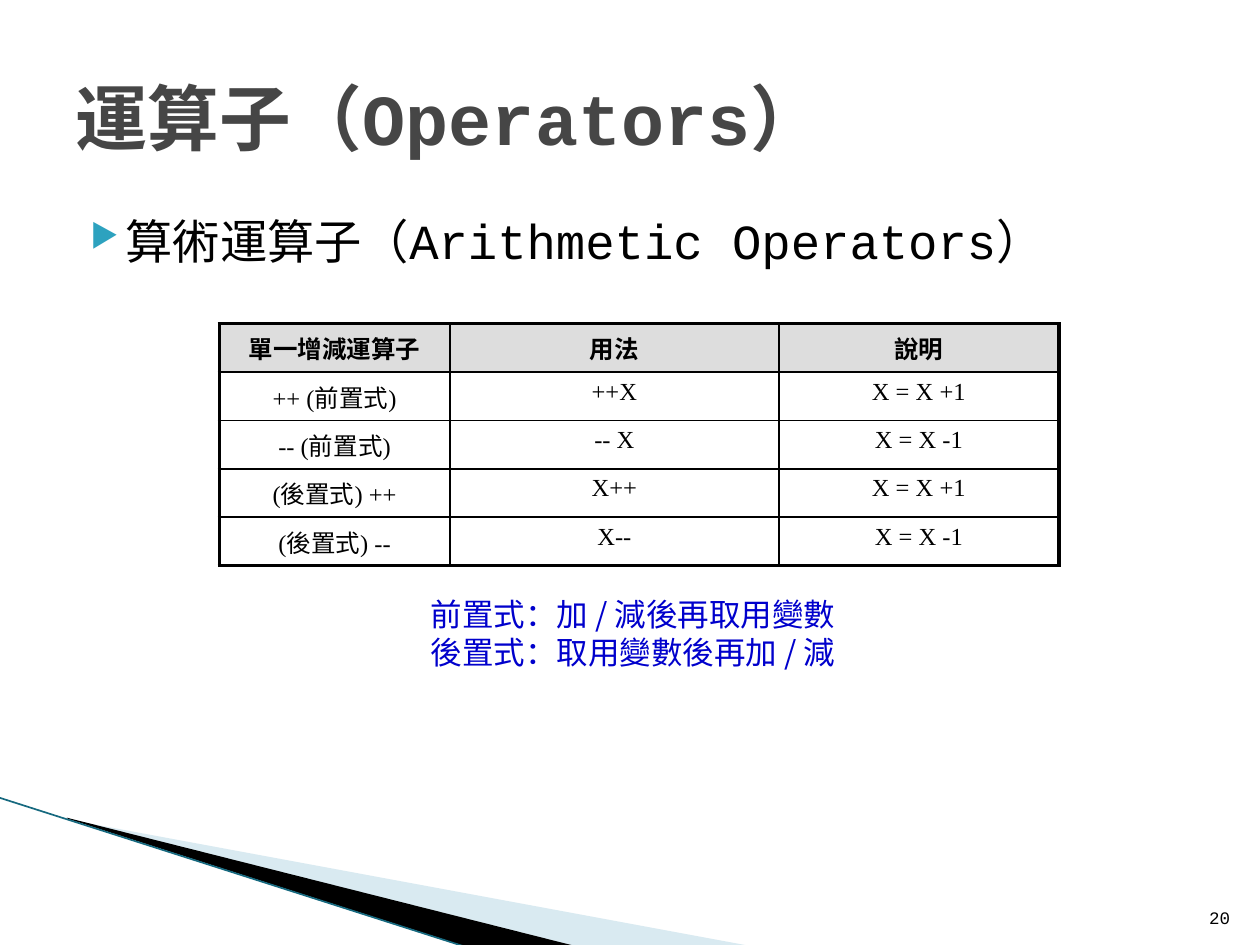
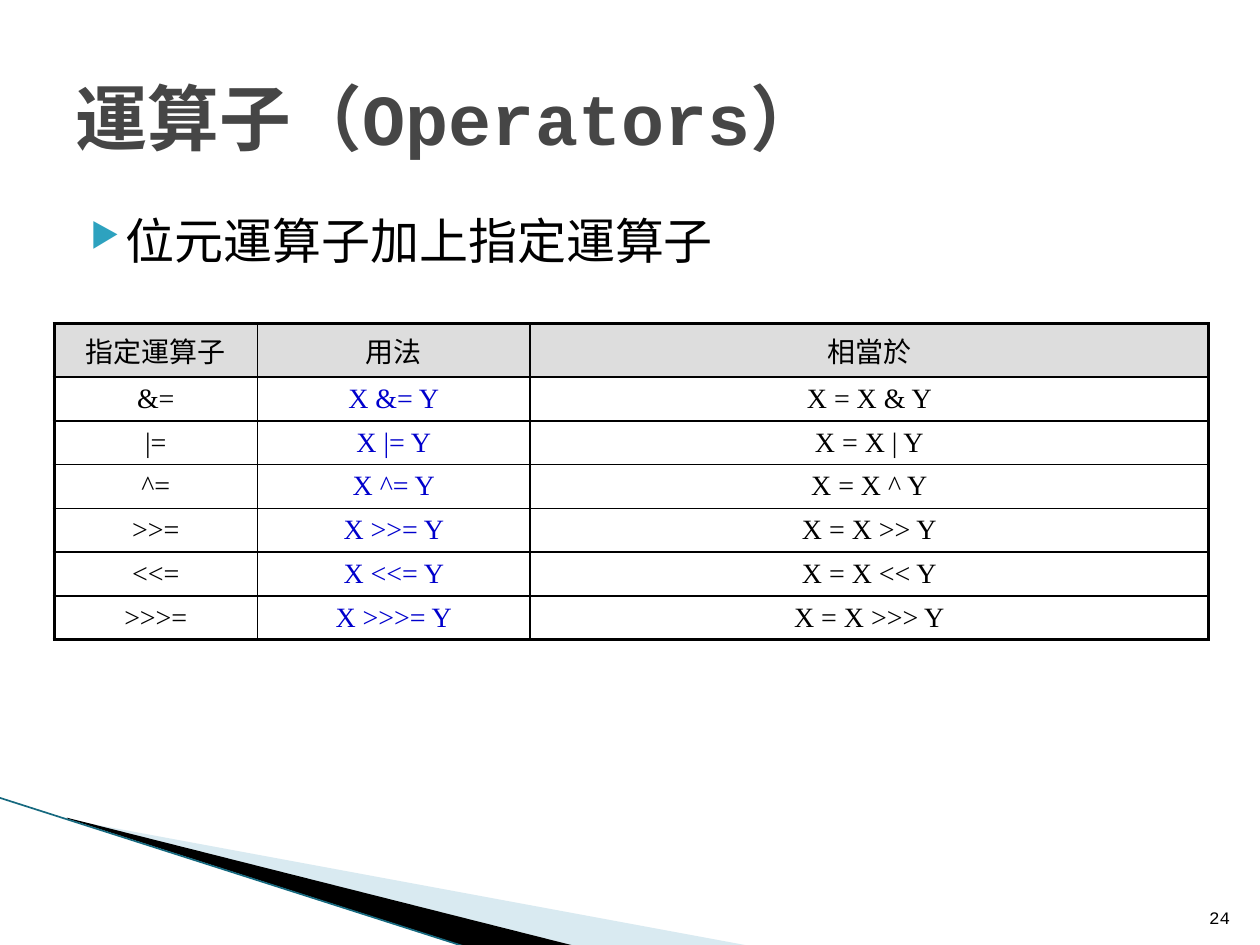
from dataclasses import dataclass

from lxml.etree import SubElement
from pptx import Presentation
from pptx.dml.color import RGBColor
from pptx.enum.shapes import MSO_CONNECTOR as Connector
from pptx.enum.text import MSO_ANCHOR as Anchor, MSO_AUTO_SIZE as AutoSize, PP_ALIGN as Align
from pptx.oxml.ns import qn
from pptx.util import Pt


@dataclass(frozen=True)
class Theme:
    ink: str = "000000"
    title: str = "464646"
    accent: str = "2DA2BF"
    emphasis: str = "0000CC"
    header_fill: str = "DDDDDD"
    pale_wedge: str = "A0CBDC"
    edge_line: str = "16697F"
    mono: str = "Courier New"
    serif: str = "Times New Roman"
    chinese: str = "Noto Sans CJK TC"
    title_size: float = 41
    bullet_size: float = 28
    bracket_size: float = 27
    note_size: float = 18
    number_size: float = 10
    outer_border: float = 2.25
    inner_border: float = 1


THEME = Theme()

# Boxes: left, top, width, height in points
TITLE_BOX = (36, 21.6, 648, 90)
BULLET_BOX = (36, 116.6, 648, 45)
NUMBER_BOX = (681, 504.7, 29, 29)
NOTE_BOX = (239, 336.5, 321, 65)
TITLE_TEXT = "運算子（Operators）"


# Text helpers
def add_run(paragraph, text, size, font, color=THEME.ink, bold=False):
    run = paragraph.add_run()
    run.text = text
    run.font.size = Pt(size)
    run.font.bold = bold
    run.font.color.rgb = RGBColor.from_string(color)
    run.font.name = font
    SubElement(run.font._element, qn("a:ea"), typeface=THEME.chinese)


def place(shape, box):
    shape.left, shape.top, shape.width, shape.height = map(Pt, box)


def prepare_frame(shape, anchor=Anchor.TOP):
    frame = shape.text_frame
    frame.word_wrap = True
    frame.auto_size = AutoSize.NONE
    frame.vertical_anchor = anchor
    return frame


def add_text_frame(slide, box, anchor=Anchor.TOP):
    return prepare_frame(slide.shapes.add_textbox(*map(Pt, box)), anchor)


# Corner decoration
def add_wedge(slide, points, color, alpha=None):
    corners = [(Pt(x), Pt(y)) for x, y in points]
    builder = slide.shapes.build_freeform(*corners[0])
    builder.add_line_segments(corners[1:], close=True)
    wedge = builder.convert_to_shape()
    wedge.shadow.inherit = False
    wedge.fill.solid()
    wedge.fill.fore_color.rgb = RGBColor.from_string(color)
    wedge.line.fill.background()
    if alpha:
        fill_color = wedge._element.spPr.find(qn("a:solidFill"))[0]
        SubElement(fill_color, qn("a:alpha"), val=str(alpha * 1000))


def add_corner(slide):
    add_wedge(slide, [(39.6, 468.5), (428.4, 540.5), (328.3, 540.5), (39.6, 468)],
              THEME.pale_wedge, alpha=40)
    add_wedge(slide, [(38.2, 467.3), (329, 540.7), (267.8, 541.4), (38.9, 468)], THEME.ink)
    edge = slide.shapes.add_connector(Connector.STRAIGHT, Pt(-0.5), Pt(455.8), Pt(267.1), Pt(541.4))
    edge.line.color.rgb = RGBColor.from_string(THEME.edge_line)
    edge.line.width = Pt(0.95)
    SubElement(edge._element.spPr, qn("a:effectLst"))


# Title, bullet and page number
def add_title(slide, box):
    title = slide.shapes.title
    place(title, box)
    paragraph = prepare_frame(title, Anchor.MIDDLE).paragraphs[0]
    paragraph.alignment = Align.LEFT
    add_run(paragraph, TITLE_TEXT, THEME.title_size, THEME.mono, THEME.title, bold=True)


def add_bullet(slide, box, runs):
    paragraph = add_text_frame(slide, box).paragraphs[0]
    properties = paragraph._p.get_or_add_pPr()
    properties.set("marL", str(Pt(28.8)))
    properties.set("indent", str(-Pt(20.2)))
    bullet_color = SubElement(properties, qn("a:buClr"))
    SubElement(bullet_color, qn("a:srgbClr"), val=THEME.accent)
    SubElement(properties, qn("a:buSzPct"), val="68000")
    SubElement(properties, qn("a:buChar"), char="▶")
    for text, size in runs:
        add_run(paragraph, text, size, THEME.mono)


def add_page_number(slide, box, number):
    paragraph = add_text_frame(slide, box, Anchor.BOTTOM).paragraphs[0]
    paragraph.alignment = Align.RIGHT
    add_run(paragraph, str(number), THEME.number_size, THEME.mono)


# Operator table
def set_borders(cell, outer_sides):
    properties = cell._tc.get_or_add_tcPr()
    for side in "LRTB":
        width = THEME.outer_border if side in outer_sides else THEME.inner_border
        line = SubElement(properties, qn(f"a:ln{side}"), w=str(Pt(width)))
        fill = SubElement(line, qn("a:solidFill"))
        SubElement(fill, qn("a:srgbClr"), val=THEME.ink)


def add_operator_table(slide, left, top, widths, heights, rows, size,
                       bold_header=False, usage_color=THEME.ink):
    last_row, last_column = len(rows) - 1, len(widths) - 1
    table = slide.shapes.add_table(len(rows), len(widths), Pt(left), Pt(top),
                                   Pt(sum(widths)), Pt(sum(heights))).table
    table.first_row = table.horz_banding = False
    for column, width in zip(table.columns, widths):
        column.width = Pt(width)
    for row, height in zip(table.rows, heights):
        row.height = Pt(height)
    for r, row in enumerate(rows):
        is_header = r == 0
        for c, text in enumerate(row):
            cell = table.cell(r, c)
            edges = {"L": c == 0, "R": c == last_column, "T": is_header, "B": r == last_row}
            set_borders(cell, [side for side, outer in edges.items() if outer])
            if is_header:
                cell.fill.solid()
                cell.fill.fore_color.rgb = RGBColor.from_string(THEME.header_fill)
            else:
                cell.fill.background()
            cell.vertical_anchor = Anchor.MIDDLE if c == 0 and not is_header else Anchor.TOP
            paragraph = cell.text_frame.paragraphs[0]
            paragraph.alignment = Align.CENTER
            color = usage_color if c == 1 and not is_header else THEME.ink
            add_run(paragraph, text, size, THEME.serif, color, bold_header and is_header)


# Note under the table
def add_note(slide, box, lines):
    frame = add_text_frame(slide, box)
    for index, line in enumerate(lines):
        paragraph = frame.add_paragraph() if index else frame.paragraphs[0]
        paragraph.line_spacing = Pt(21.7)
        add_run(paragraph, line, THEME.note_size, THEME.chinese, THEME.emphasis)


# Slides
def add_operator_slide(presentation, number, bullet_runs):
    slide = presentation.slides.add_slide(presentation.slide_layouts[5])
    add_corner(slide)
    add_title(slide, TITLE_BOX)
    add_bullet(slide, BULLET_BOX, bullet_runs)
    add_page_number(slide, NUMBER_BOX, number)
    return slide


def add_arithmetic_slide(presentation):
    slide = add_operator_slide(presentation, 20, [
        ("算術運算子（", THEME.bracket_size),
        ("Arithmetic Operators", THEME.bullet_size),
        ("）", THEME.bracket_size),
    ])
    rows = [
        ("單一增減運算子", "用法", "說明"),
        ("++ (前置式)", "++X", "X = X +1"),
        ("-- (前置式)", "-- X", "X = X -1"),
        ("(後置式) ++", "X++", "X = X +1"),
        ("(後置式) --", "X--", "X = X -1"),
    ]
    add_operator_table(slide, 125.3, 185, (131.8, 188, 160), [27.6] * len(rows), rows,
                       size=14, bold_header=True)
    add_note(slide, NOTE_BOX, ["前置式：加 / 減後再取用變數", "後置式：取用變數後再加 / 減"])


def add_bitwise_slide(presentation):
    slide = add_operator_slide(presentation, 24, [("位元運算子加上指定運算子", THEME.bullet_size)])
    operators = ("&", "|", "^", ">>", "<<", ">>>")
    rows = [("指定運算子", "用法", "相當於")]
    rows += [(f"{sign}=", f"X {sign}= Y", f"X = X {sign} Y") for sign in operators]
    add_operator_table(slide, 31, 185, (116, 156, 387.5), [30.5] + [25] * len(operators), rows,
                       size=16, usage_color=THEME.emphasis)


def main():
    presentation = Presentation()
    presentation.slide_width, presentation.slide_height = Pt(720), Pt(540)
    add_arithmetic_slide(presentation)
    add_bitwise_slide(presentation)
    presentation.save("out.pptx")


if __name__ == "__main__":
    main()
